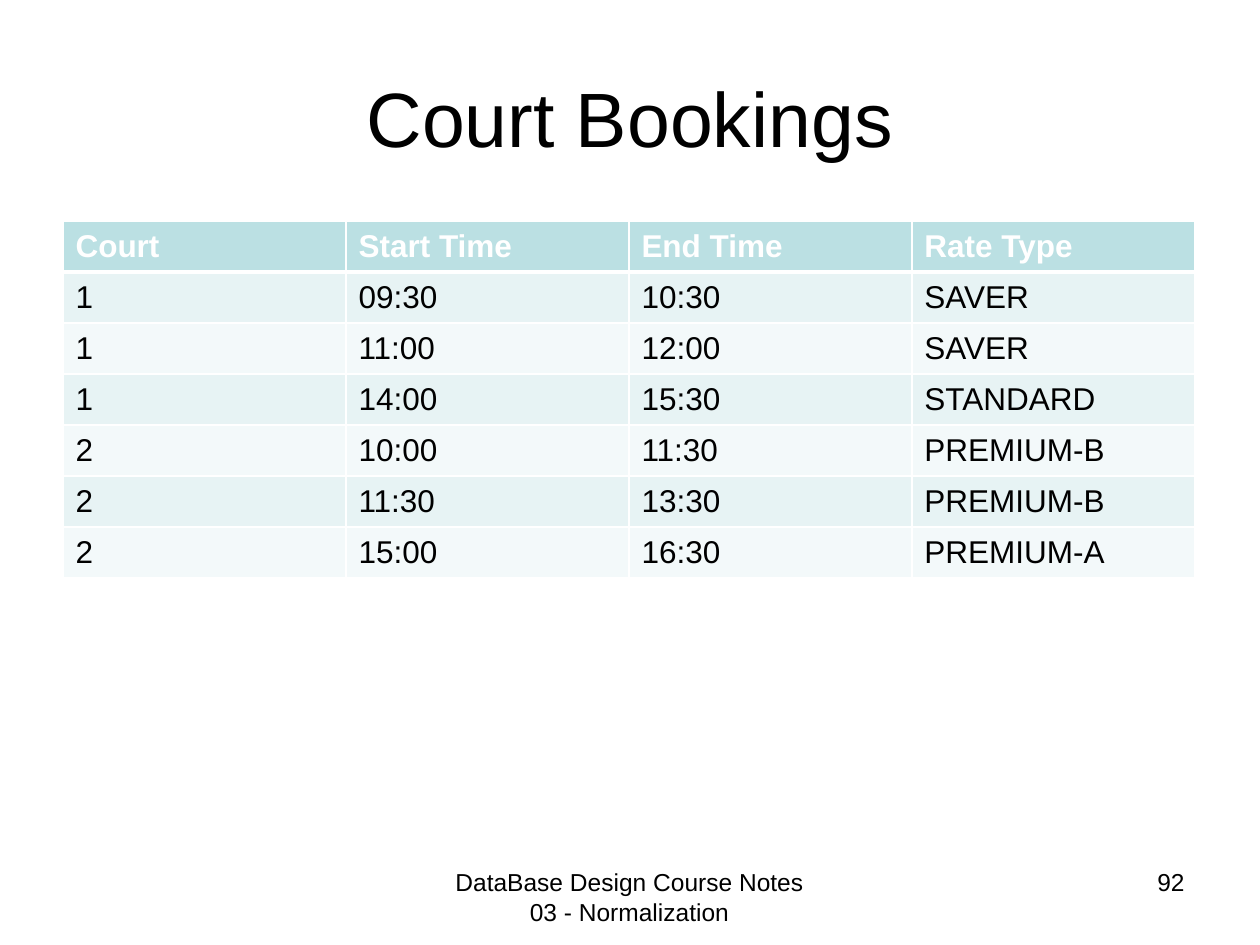
from lxml import etree
from pptx import Presentation
from pptx import util as u
from pptx.dml.color import RGBColor
from pptx.enum import text
from pptx.oxml.ns import qn

PX = u.Inches(1) // 126
BLACK, WHITE = "000000", "FFFFFF"
HEADER_FILL = "BBE0E3"
BAND_FILLS = ("E7F3F4", "F3F9FA")

BOOKINGS = [
    ("Court", "Start Time", "End Time", "Rate Type"),
    ("1", "09:30", "10:30", "SAVER"),
    ("1", "11:00", "12:00", "SAVER"),
    ("1", "14:00", "15:30", "STANDARD"),
    ("2", "10:00", "11:30", "PREMIUM-B"),
    ("2", "11:30", "13:30", "PREMIUM-B"),
    ("2", "15:00", "16:30", "PREMIUM-A"),
]


def color(value):
    return RGBColor.from_string(value)


def set_borders(cell, value, widths):
    """Draw cell borders; widths maps the sides L, R, T, B to points."""
    properties = cell._tc.get_or_add_tcPr()
    for side in "LRTB":
        line = etree.SubElement(properties, qn(f"a:ln{side}"), w=str(u.Pt(widths[side])))
        fill = etree.SubElement(line, qn("a:solidFill"))
        etree.SubElement(fill, qn("a:srgbClr"), val=value)


class SlideBuilder:
    """Holds the font and the slide being built; lengths are in px."""

    def __init__(self, slide, font_name):
        self.slide = slide
        self.font_name = font_name

    def style(self, paragraph, size, value, bold=False):
        for run in paragraph.runs:
            run.font.name = self.font_name
            run.font.size = u.Pt(size)
            run.font.bold = bold
            run.font.color.rgb = color(value)

    def text(self, content, box, size, align, anchor=text.MSO_ANCHOR.TOP):
        shape = self.slide.shapes.add_textbox(*(length * PX for length in box))
        frame = shape.text_frame
        frame.word_wrap = True
        frame.vertical_anchor = anchor
        frame.text = content
        paragraph = frame.paragraphs[0]
        paragraph.alignment = align
        self.style(paragraph, size, BLACK)

    def table(self, rows, left, top, column_width, row_height):
        columns = len(rows[0])
        table = self.slide.shapes.add_table(
            len(rows), columns, left * PX, top * PX,
            columns * column_width * PX, len(rows) * row_height * PX).table
        for column in table.columns:
            column.width = column_width * PX
        for row_index, values in enumerate(rows):
            table.rows[row_index].height = row_height * PX
            for column_index, value in enumerate(values):
                self.cell(table.cell(row_index, column_index), value, row_index)

    def cell(self, cell, value, row_index):
        is_header = row_index == 0
        cell.text = value
        cell.vertical_anchor = text.MSO_ANCHOR.MIDDLE
        self.style(cell.text_frame.paragraphs[0], 18,
                   WHITE if is_header else BLACK, is_header)
        set_borders(cell, WHITE, {"L": 1, "R": 1,
                                  "T": 3 if row_index == 1 else 1,
                                  "B": 3 if is_header else 1})
        cell.fill.solid()
        cell.fill.fore_color.rgb = color(
            HEADER_FILL if is_header else BAND_FILLS[(row_index - 1) % 2])


def main():
    presentation = Presentation()
    presentation.slide_width = 1260 * PX
    presentation.slide_height = 945 * PX
    slide = presentation.slides.add_slide(presentation.slide_layouts[6])
    builder = SlideBuilder(slide, "Arial")

    builder.text("Court Bookings", (63, 38, 1134, 157), 44,
                 text.PP_ALIGN.CENTER, text.MSO_ANCHOR.MIDDLE)
    builder.table(BOOKINGS, left=63, top=221, column_width=2835 // 10, row_height=51)
    builder.text("DataBase Design Course Notes 03 - Normalization",
                 (430, 861, 399, 66), 14, text.PP_ALIGN.CENTER)
    builder.text("92", (903, 861, 294, 66), 14, text.PP_ALIGN.RIGHT)
    presentation.save("out.pptx")


if __name__ == "__main__":
    main()
